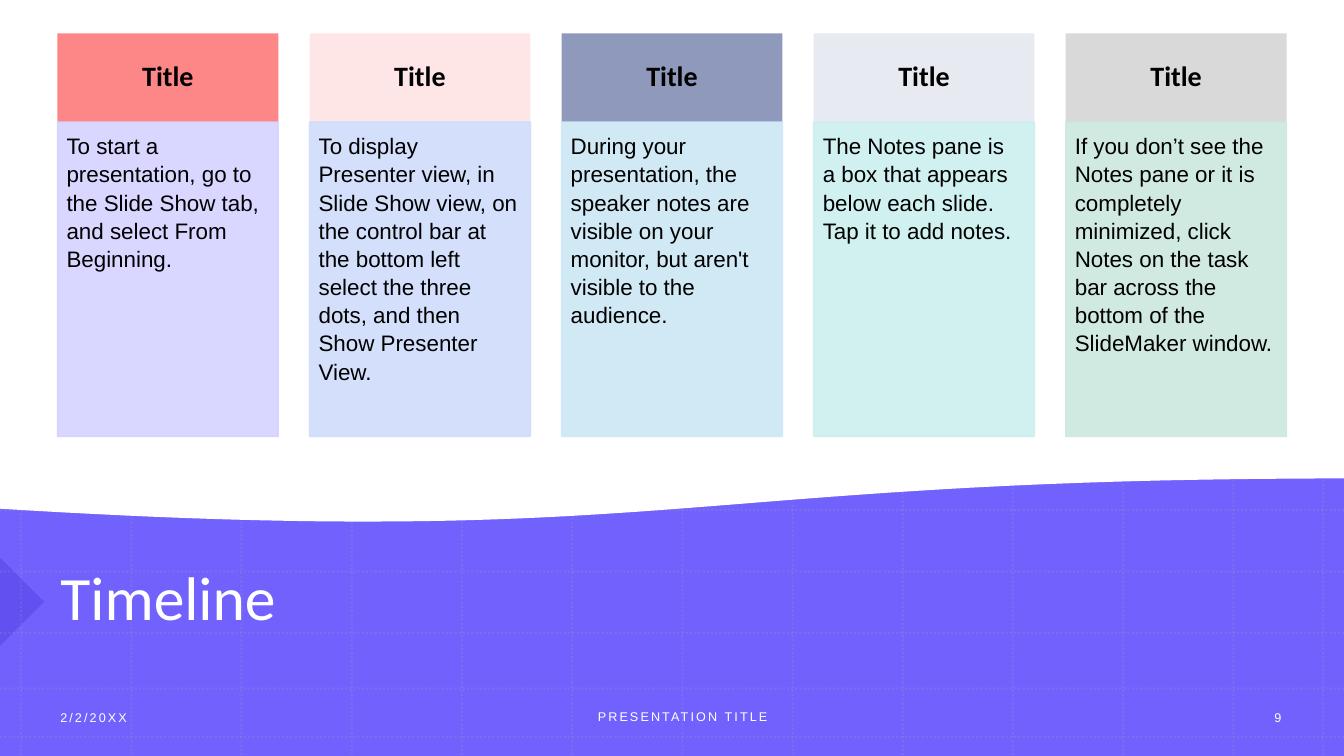
"""Build the timeline slide: five titled cards above a purple wave."""
from pptx import Presentation
from pptx.dml.color import RGBColor
from pptx.enum.dml import MSO_LINE
from pptx.enum.shapes import MSO_CONNECTOR, MSO_SHAPE
from pptx.enum.text import MSO_ANCHOR as Anchor, PP_ALIGN as Align
from pptx.oxml.ns import qn
from pptx.util import Inches, Pt
from lxml.etree import SubElement

WIDTH, HEIGHT = 13.33, 7.5
TITLE = "Timeline"
CARDS = [
    ("Title", "FD8686", 100, "D5D3FF",
     "To start a presentation, go to the Slide Show tab, and select From Beginning."),
    ("Title", "FD8686", 20, "CFDCFB",
     "To display Presenter view, in Slide Show view, on the control bar at the bottom left "
     "select the three dots, and then Show Presenter View."),
    ("Title", "8F99BB", 100, "CDE7F5",
     "During your presentation, the speaker notes are visible on your monitor, "
     "but aren't visible to the audience."),
    ("Title", "8F99BB", 20, "CCEFEF",
     "The Notes pane is a box that appears below each slide. Tap it to add notes."),
    ("Title", "D9D9D9", 100, "CCE8DE",
     "If you don’t see the Notes pane or it is completely minimized, click Notes on the "
     "task bar across the bottom of the SlideMaker window."),
]
FOOTERS = [
    ("2/2/20XX", 0.5, 6.92, 2.8, Align.LEFT),
    ("PRESENTATION TITLE", 4.59, 6.91, 4.36, Align.CENTER),
    ("9", 12.24, 6.92, 0.87, Align.CENTER),
]
CARD_LEFT, CARD_TOP, CARD_PITCH, CARD_WIDTH = 0.57, 0.33, 2.5, 2.19
HEAD_HEIGHT, BODY_HEIGHT = 0.88, 3.12
WAVE = [(13.35, 4.74), (6.7, 4.74), (6.66, 5.45), (0, 5.04)]
WAVE_STEPS = 60
GRID_COLUMNS = [0.21 + 1.093 * column for column in range(12)] + [13.12]
GRID_ROWS = [5.06, 5.67, 6.28, 6.83, 7.31]


def rgb(value):
    return RGBColor.from_string(value)


def paint(fill, color, opacity=100):
    fill.solid()
    fill.fore_color.rgb = rgb(color)
    if opacity < 100:
        for node in fill._xPr.iter(qn("a:srgbClr")):
            SubElement(node, qn("a:alpha"), val=str(opacity * 1000))


def add_block(slide, preset, box, color, opacity=100):
    shape = slide.shapes.add_shape(preset, *map(Inches, box))
    shape.shadow.inherit = False
    shape.line.fill.background()
    paint(shape.fill, color, opacity)
    return shape


def write(shape, text, size, font, color, align, anchor, spacing=1.0, bold=False, insets=None):
    frame = shape.text_frame
    frame.word_wrap = True
    frame.vertical_anchor = anchor
    if insets:
        (frame.margin_left, frame.margin_top,
         frame.margin_right, frame.margin_bottom) = map(Inches, insets)
    paragraph = frame.paragraphs[0]
    paragraph.text = text
    paragraph.alignment = align
    paragraph.line_spacing = spacing
    paragraph.font.size = Pt(size)
    paragraph.font.name = font
    paragraph.font.bold = bold
    paragraph.font.color.rgb = rgb(color)
    return paragraph


def add_grid_line(slide, start, end):
    line = slide.shapes.add_connector(MSO_CONNECTOR.STRAIGHT, *map(Inches, start + end))
    paint(line.line.fill, "B495C2", 20)
    line.line.width = Pt(1.5)
    line.line.dash_style = MSO_LINE.ROUND_DOT
    SubElement(line._element.spPr, qn("a:effectLst"))


def wave_point(share):
    weights = ((1 - share) ** 3, 3 * share * (1 - share) ** 2,
               3 * share ** 2 * (1 - share), share ** 3)
    return tuple(Inches(sum(weight * point[axis] for weight, point in zip(weights, WAVE)))
                 for axis in (0, 1))


def add_background(slide):
    add_block(slide, MSO_SHAPE.RECTANGLE, (0, 0, WIDTH, HEIGHT), "7162FE")
    marker = add_block(slide, MSO_SHAPE.RIGHT_TRIANGLE, (-0.31, 5.66, 0.62, 0.62), "1201AF", 17)
    marker.rotation = 225
    for x in GRID_COLUMNS:
        add_grid_line(slide, (x, 0), (x, HEIGHT))
    for y in GRID_ROWS:
        add_grid_line(slide, (0, y), (WIDTH, y))
    top = Inches(-0.03)
    builder = slide.shapes.build_freeform(0, top)
    curve = [wave_point(step / WAVE_STEPS) for step in range(WAVE_STEPS + 1)]
    builder.add_line_segments([(Inches(13.35), top)] + curve, close=True)
    wave = builder.convert_to_shape()
    wave.shadow.inherit = False
    paint(wave.fill, "FFFFFF")
    paint(wave.line.fill, "FFFFFF")
    wave.line.width = Pt(1)


def add_title(slide):
    title = slide.shapes.title
    title.left, title.top, title.width, title.height = map(Inches, (0.5, 5.09, 11.75, 1.74))
    write(title, TITLE, 44, "Calibri", "FFFFFF", Align.LEFT, Anchor.MIDDLE, 0.9)
    title._element.getparent().append(title._element)


def add_footers(slide):
    for text, left, top, width, align in FOOTERS:
        box = slide.shapes.add_textbox(*map(Inches, (left, top, width, 0.4)))
        paragraph = write(box, text, 9, "Arial", "FFFFFF", align, Anchor.MIDDLE)
        paragraph.runs[0]._r.get_or_add_rPr().set("spc", "150")


def add_cards(slide):
    for index, (heading, head_color, opacity, body_color, text) in enumerate(CARDS):
        left = CARD_LEFT + index * CARD_PITCH
        head = add_block(slide, MSO_SHAPE.RECTANGLE,
                         (left, CARD_TOP, CARD_WIDTH, HEAD_HEIGHT), head_color, opacity)
        write(head, heading, 20, "Calibri", "000000", Align.CENTER, Anchor.MIDDLE, 0.9,
              True, (0.16, 0.09, 0.16, 0.09))
        body = add_block(slide, MSO_SHAPE.RECTANGLE,
                         (left, CARD_TOP + HEAD_HEIGHT, CARD_WIDTH, BODY_HEIGHT), body_color, 90)
        paint(body.line.fill, body_color, 90)
        body.line.width = Pt(1)
        write(body, text, 16, "Arial", "000000", Align.LEFT, Anchor.TOP, 1.05,
              insets=(0.09, 0.09, 0.12, 0.14))


def main():
    presentation = Presentation()
    presentation.slide_width, presentation.slide_height = Inches(WIDTH), Inches(HEIGHT)
    slide = presentation.slides.add_slide(presentation.slide_layouts[5])
    add_background(slide)
    add_title(slide)
    add_footers(slide)
    add_cards(slide)
    presentation.save("out.pptx")


if __name__ == "__main__":
    main()
